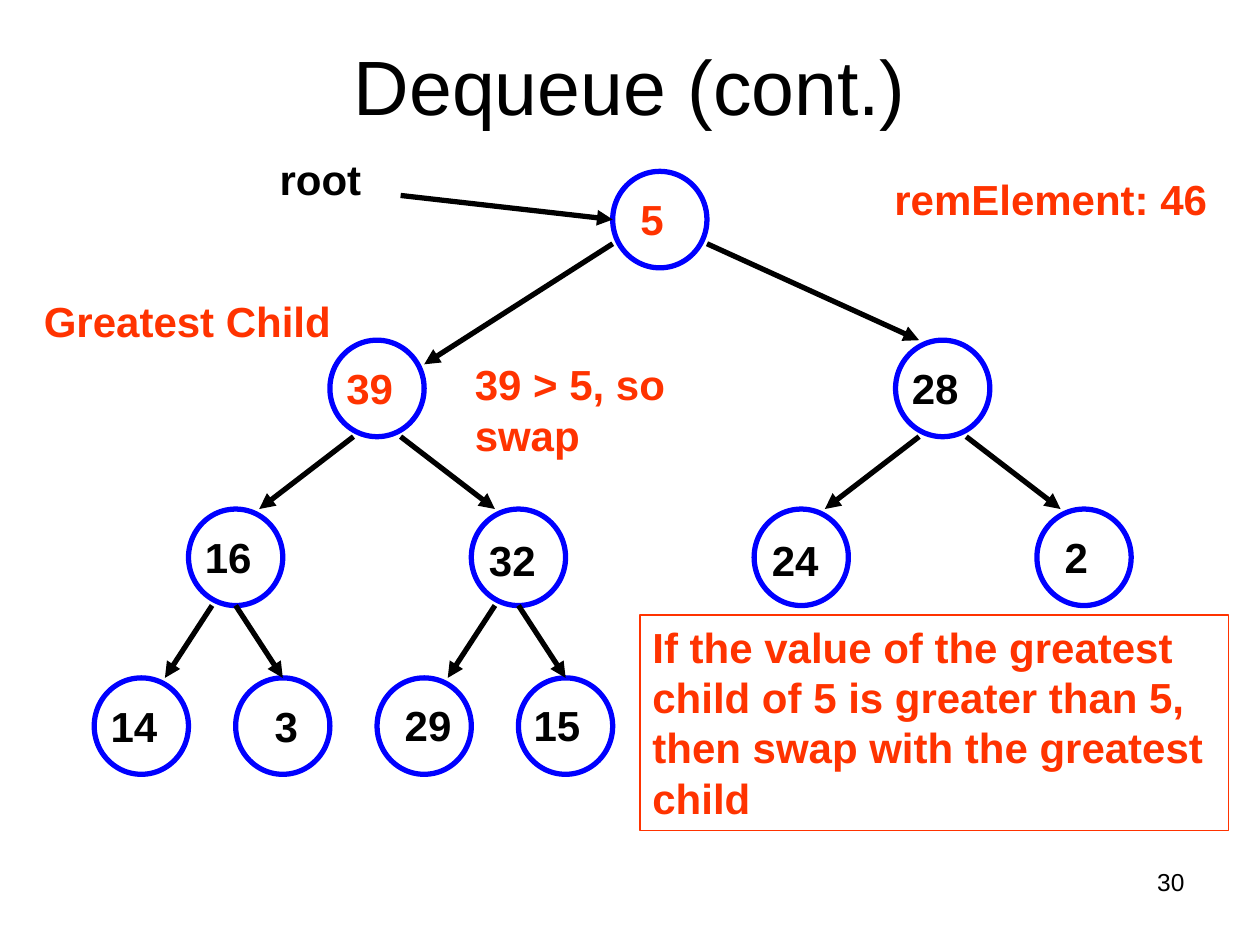
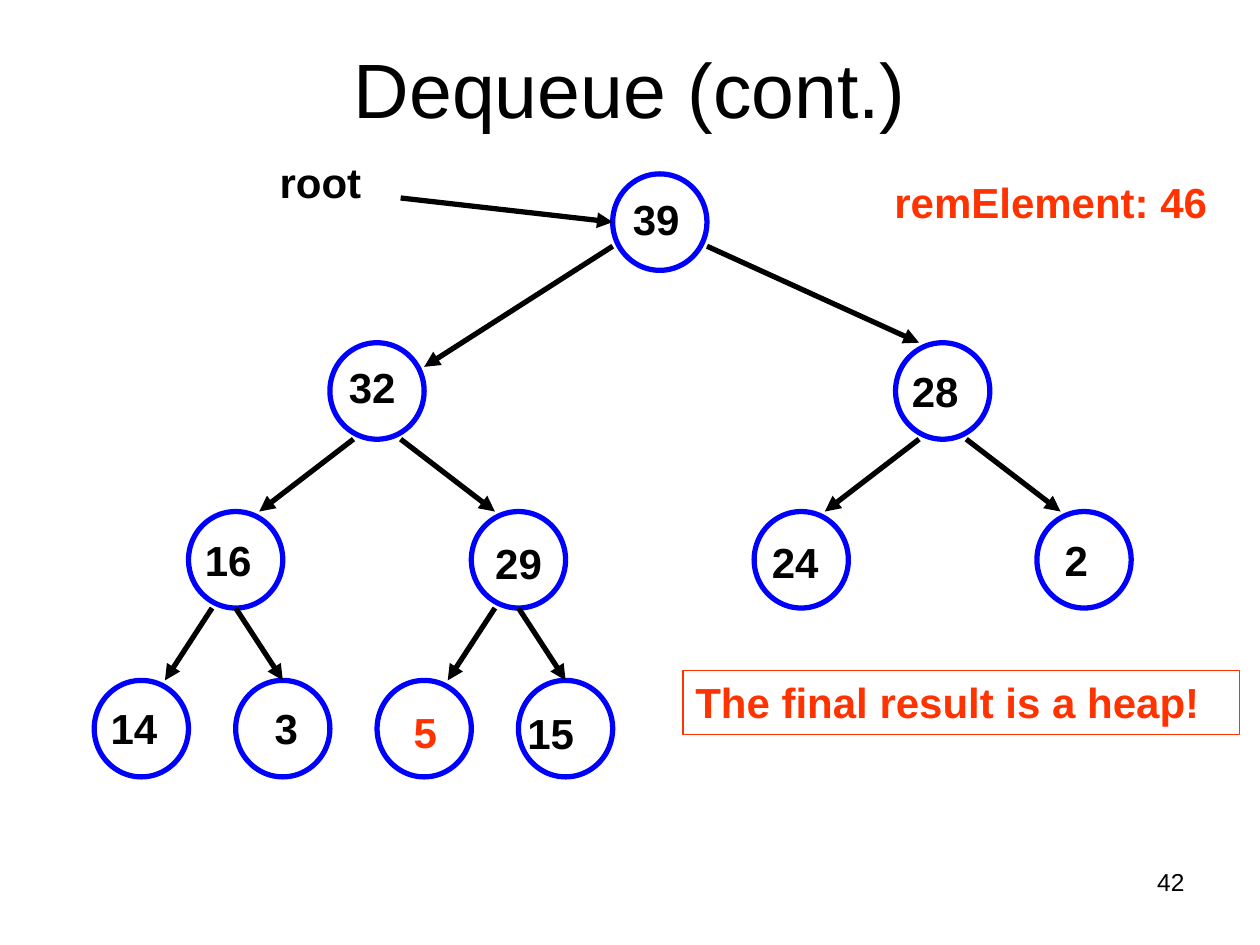
"""Build two slides that show a dequeue on a heap drawn as a binary tree."""
from lxml import etree
from pptx import Presentation, util as u
from pptx.dml.color import RGBColor
from pptx.enum import shapes, text
from pptx.oxml.ns import qn

FONT = "Arial"
COLOURS = {"ink": "000000", "paper": "FFFFFF", "ring": "0000FF", "accent": "FF3300"}
WIDTH, HEIGHT = 10, 7.5
TITLE = "Dequeue (cont.)"

COLUMN, ROW = 8.23 / 22, 1.34 / 7
TREE_TOP = 1.36
NODE_COLUMNS, NODE_ROWS, LEVEL_ROWS = 2, 4, 7
SPACE = 0.09
NUDGE = (-0.06, 0.13)

NODE_CELLS = [(13, 0), (7, 1), (19, 1), (4, 2), (10, 2), (16, 2), (22, 2),
              (2, 3), (5, 3), (8, 3), (11, 3)]

ARROWS = [
    ((8.5, 1), (13, 2)),
    ((13, 3), (9, 8)), ((15, 3), (19.5, 7)),
    ((7.5, 11), (5.5, 14)), ((8.5, 11), (10.5, 14)),
    ((19.5, 11), (17.5, 14)), ((20.5, 11), (22.5, 14)),
    ((4.5, 18), (3.5, 21)), ((5, 18), (6, 21)),
    ((10.5, 18), (9.5, 21)), ((11, 18), (12, 21)),
]

SHARED_LABELS = [
    ("root", (2.12, 1.17, 1.25, 0.57), "ink"),
    ("remElement: 46", (7, 1.33, 2.83, 0.5), "accent"),
]

SLIDES = [
    {
        "number": "30", "drop": 0,
        "values": [("5", 2, NUDGE), ("39", 1, NUDGE), ("28", 1, NUDGE),
                   ("16", 1, NUDGE), ("32", 1, (-0.05, 0.15)),
                   ("24", 1, (-0.05, 0.15)), ("2", 2, NUDGE),
                   ("14", 1, NUDGE), ("3", 3, NUDGE),
                   ("29", 2, (-0.06, 0.12)), ("15", 1, (-0.07, 0.12))],
        "highlighted": ["5", "39"],
        "labels": [("Greatest Child", (0.25, 2.3, 2.5, 0.5), "accent"),
                   ("39 > 5, so swap", (3.67, 2.8, 1.83, 0.9), "accent")],
        "callout": ("If the value of the greatest child of 5 is greater than 5, "
                    "then swap with the greatest child", (5.08, 4.88, 4.67, 1.71)),
    },
    {
        "number": "42", "drop": 0.02,
        "values": [("39", 1, (-0.03, 0.11)), ("32", 1, (-0.04, 0.1)),
                   ("28", 1, NUDGE), ("16", 1, NUDGE), ("29", 2, (-0.09, 0.16)),
                   ("24", 1, (-0.05, 0.15)), ("2", 2, NUDGE),
                   ("14", 1, NUDGE), ("3", 3, NUDGE),
                   ("5", 2, (0.01, 0.16)), ("15", 1, (-0.12, 0.17))],
        "highlighted": ["5"],
        "labels": [],
        "callout": ("The final result is a heap!", (5.42, 5.32, 4.42, 0.51)),
    },
]


def colour(name):
    """Return the named colour."""
    return RGBColor.from_string(COLOURS[name])


def inches(*lengths):
    """Convert lengths in inches."""
    return [u.Inches(length) for length in lengths]


def write(shape, words, ink, size=24, bold=True, align="LEFT", anchor="TOP"):
    """Write one formatted run into a shape."""
    frame = shape.text_frame
    frame.word_wrap = True
    frame.auto_size = text.MSO_AUTO_SIZE.NONE
    frame.vertical_anchor = text.MSO_ANCHOR[anchor]
    para = frame.paragraphs[0]
    para.alignment = text.PP_ALIGN[align]
    span = para.add_run()
    span.text = words
    span.font.name = FONT
    span.font.size = u.Pt(size)
    span.font.bold = bold
    span.font.color.rgb = colour(ink)


def add_label(page, words, place, ink, indent=0, **style):
    """Add a text box, its text indented by a length."""
    box = page.shapes.add_textbox(*inches(*place))
    write(box, words, ink, **style)
    box.text_frame.margin_left = u.Inches(0.1 + indent)


def add_outline(page, kind, place, line, weight, fill=None):
    """Add an outlined preset shape without a shadow."""
    shape = page.shapes.add_shape(kind, *inches(*place))
    shape.shadow.inherit = False
    shape.line.color.rgb = colour(line)
    shape.line.width = u.Pt(weight)
    if fill:
        shape.fill.solid()
        shape.fill.fore_color.rgb = colour(fill)
    else:
        shape.fill.background()
    return shape


def add_arrow(page, start, end, top):
    """Add an arrow between two points of the tree grid."""
    ends = [length for column, row in (start, end)
            for length in (column * COLUMN, top + row * ROW)]
    arrow = page.shapes.add_connector(shapes.MSO_CONNECTOR.STRAIGHT, *inches(*ends))
    arrow.line.color.rgb = colour("ink")
    arrow.line.width = u.Pt(3)
    etree.SubElement(arrow.line._get_or_add_ln(), qn("a:tailEnd"), type="triangle")
    etree.SubElement(arrow._element.spPr, qn("a:effectLst"))


def add_tree(page, content):
    """Draw the nodes, their values and the arrows."""
    top = TREE_TOP + content["drop"]
    for (column, level), (value, spaces, nudge) in zip(NODE_CELLS, content["values"]):
        left, upper = column * COLUMN, top + level * LEVEL_ROWS * ROW
        add_outline(page, shapes.MSO_SHAPE.OVAL,
                    (left, upper, NODE_COLUMNS * COLUMN, NODE_ROWS * ROW),
                    "ring", 3, "paper")
        ink = "accent" if value in content["highlighted"] else "ink"
        add_label(page, value, (left + nudge[0], upper + nudge[1], 0.94, 0.76),
                  ink, indent=spaces * SPACE)
    for start, end in ARROWS:
        add_arrow(page, start, end, top)


def add_page(deck, content):
    """Add one slide with title, tree, labels, callout and number."""
    page = deck.slides.add_slide(deck.slide_layouts[5])
    title, drop = page.shapes.title, content["drop"]
    title.left, title.top, title.width, title.height = inches(0.5, 0.05 + drop, 9, 1.25)
    write(title, TITLE, "ink", size=44, bold=False, align="CENTER", anchor="MIDDLE")
    add_tree(page, content)
    for words, (left, top, width, height), ink in SHARED_LABELS + content["labels"]:
        add_label(page, words, (left, top + drop, width, height), ink)
    words, place = content["callout"]
    callout = add_outline(page, shapes.MSO_SHAPE.RECTANGLE, place, "accent", 0.75)
    write(callout, words, "accent")
    add_label(page, content["number"], (7.17, 6.83, 2.33, 0.52), "ink",
              size=14, bold=False, align="RIGHT")


def main():
    """Build and save the deck."""
    deck = Presentation()
    deck.slide_width, deck.slide_height = inches(WIDTH, HEIGHT)
    for content in SLIDES:
        add_page(deck, content)
    deck.save("out.pptx")


if __name__ == "__main__":
    main()
